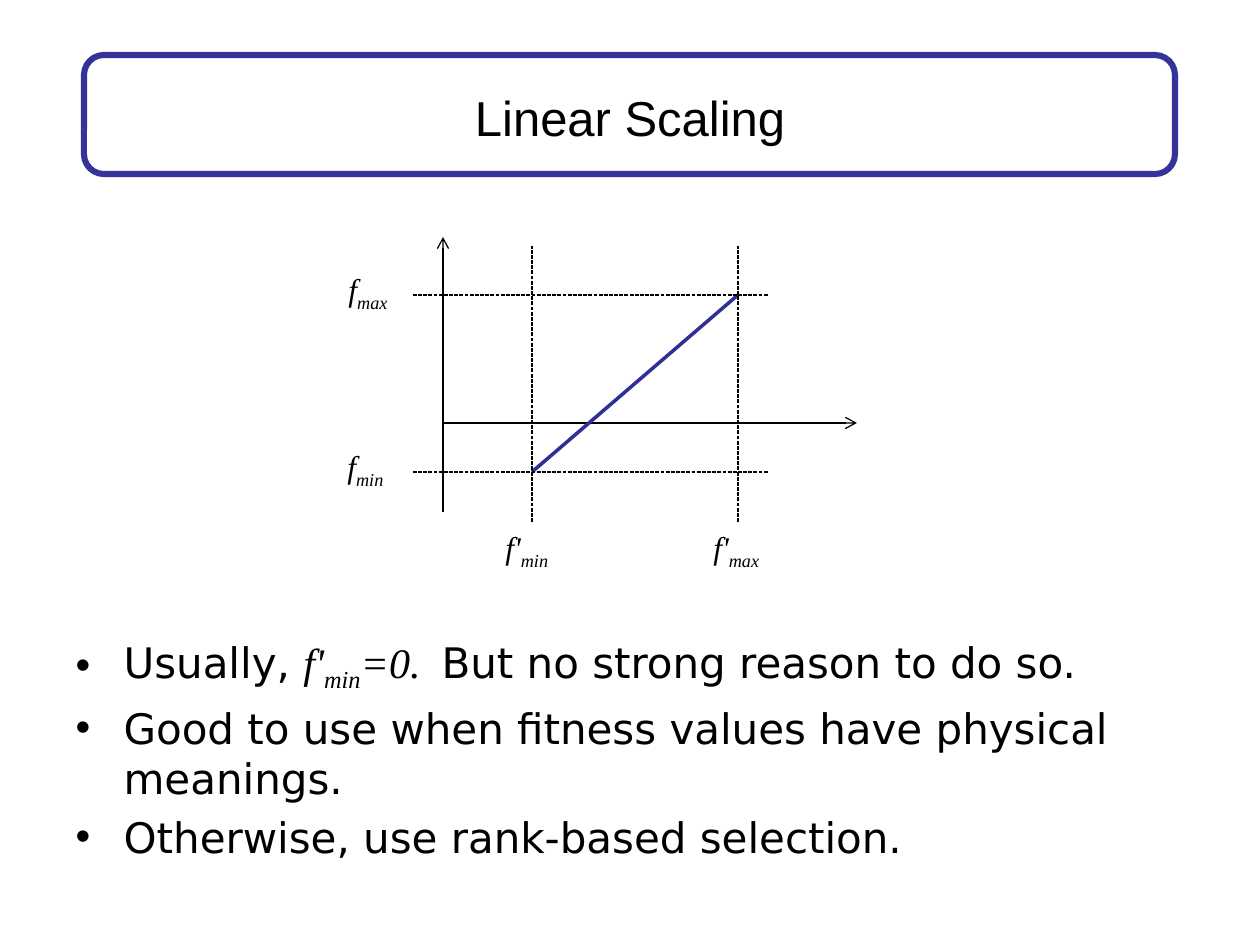
from pptx import Presentation
from pptx.dml.color import RGBColor
from pptx.enum.dml import MSO_LINE as Dash
from pptx.enum.shapes import MSO_CONNECTOR as Conn, MSO_SHAPE as Kind
from pptx.enum.text import MSO_ANCHOR as Anchor, MSO_AUTO_SIZE as Fit, PP_ALIGN as Align
from pptx.oxml.ns import qn
from pptx.util import Pt
from lxml.etree import SubElement as sub

SCALE = 914400 // 126
SANS, SERIF = "DejaVu Sans", "Times New Roman"


def px(n):
    return n * SCALE


def paint(color, code):
    color.rgb = RGBColor.from_string(code)


def write(par, text, size=24, font=SANS, italic=False, base=0):
    run = par.add_run()
    run.text = text
    run.font.size = Pt(size)
    run.font.name = font
    run.font.italic = italic
    paint(run.font.color, "000000")
    if base:
        run._r.get_or_add_rPr().set("baseline", str(base * 1000))


def symbol(par, name, index, size):
    write(par, name, size=size, font=SERIF, italic=True)
    write(par, index, size=size, font=SERIF, italic=True, base=-25)


def place(shape, left, top, width, height):
    shape.left, shape.top = px(left), px(top)
    shape.width, shape.height = px(width), px(height)


def frame(slide, left, top, width, height):
    box = slide.shapes.add_shape(Kind.ROUNDED_RECTANGLE, px(left), px(top), px(width), px(height))
    box.shadow.inherit = False
    box.adjustments[0] = 0.167
    box.fill.background()
    paint(box.line.color, "333399")
    box.line.width = Pt(3.5)
    # Behind the title
    tree = slide.shapes._spTree
    tree.remove(box._element)
    tree.insert(2, box._element)


def line(slide, start, end, code="000000", width=0.75, dash=None, arrow=False):
    rule = slide.shapes.add_connector(Conn.STRAIGHT, *map(px, start + end))
    paint(rule.line.color, code)
    rule.line.width = Pt(width)
    if dash:
        rule.line.dash_style = dash
    if arrow:
        sub(rule.line._get_or_add_ln(), qn("a:tailEnd"), type="arrow")
    sub(rule._element.spPr, qn("a:effectLst"))


def label(slide, left, top, width, name, index):
    box = slide.shapes.add_textbox(px(left), px(top), px(width), px(50))
    box.text_frame.word_wrap = False
    box.text_frame.auto_size = Fit.SHAPE_TO_FIT_TEXT
    symbol(box.text_frame.paragraphs[0], name, index, 18)


def heading(slide):
    title = slide.shapes.title
    place(title, 63, 38, 1134, 157)
    text = title.text_frame
    text.auto_size = Fit.NONE
    text.vertical_anchor = Anchor.MIDDLE
    text.paragraphs[0].alignment = Align.CENTER
    write(text.paragraphs[0], "Linear Scaling", size=28, font="Arial")


def graph(slide):
    low, high = (532, 472), (738, 295)
    # Axes
    line(slide, (443, 423), (857, 423), arrow=True)
    line(slide, (443, 512), (443, 237), arrow=True)
    # Scaling line
    line(slide, low, high, code="2F2F98", width=2)
    # Guides
    for x, y in (high, low):
        line(slide, (413, y), (768, y), dash=Dash.SQUARE_DOT)
        line(slide, (x, 522), (x, 246), dash=Dash.SQUARE_DOT)
    # Labels
    label(slide, 493, 522, 73, "f'", "min")
    label(slide, 701, 522, 77, "f'", "max")
    label(slide, 335, 441, 66, "f", "min")
    label(slide, 336, 264, 69, "f", "max")


def notes(slide):
    body = slide.placeholders[1]
    place(body, 63, 630, 1134, 214)
    text = body.text_frame
    text.auto_size = Fit.NONE
    first = text.paragraphs[0]
    write(first, "Usually, ")
    symbol(first, "f'", "min", 24)
    write(first, "=0.  ", font=SERIF, italic=True)
    write(first, "But no strong reason to do so.")
    for item in ("Good to use when fitness values have physical meanings.",
                 "Otherwise, use rank-based selection."):
        write(text.add_paragraph(), item)
    # Hanging bullets
    for par in text.paragraphs:
        props = par._p.get_or_add_pPr()
        props.set("marL", str(px(48)))
        props.set("indent", str(px(-48)))
        sub(props, qn("a:buChar"), char="•")


def main():
    deck = Presentation()
    deck.slide_width, deck.slide_height = px(1260), px(945)
    slide = deck.slides.add_slide(deck.slide_layouts[1])
    frame(slide, 84, 55, 1091, 119)
    heading(slide)
    notes(slide)
    graph(slide)
    deck.save("out.pptx")


main()
